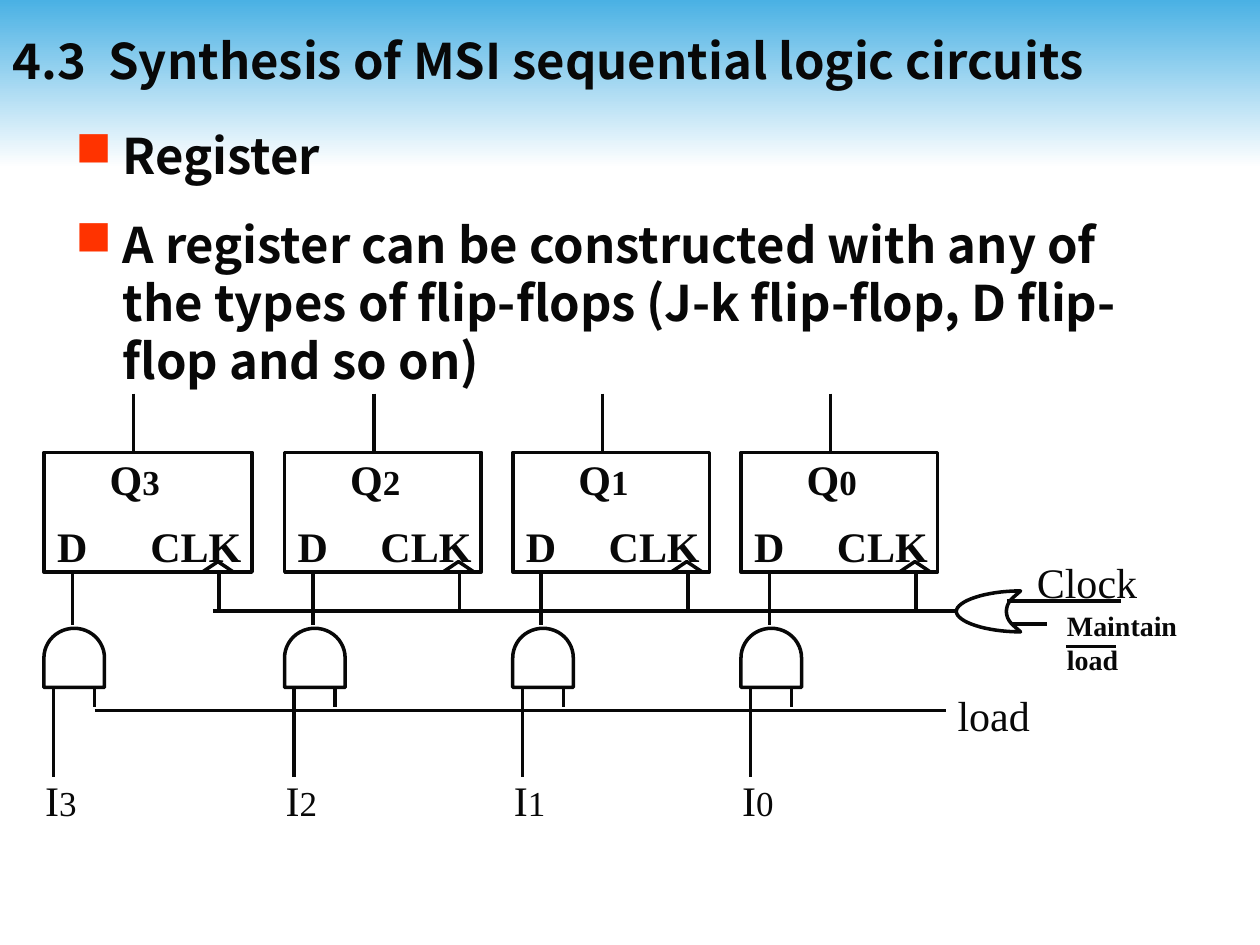
import pptx
import pptx.dml.color
import pptx.enum.shapes
import pptx.enum.text
import pptx.oxml
import pptx.oxml.ns
import pptx.util
from lxml import etree

Pt = pptx.util.Pt
SHAPE = pptx.enum.shapes.MSO_SHAPE
ANCHOR = pptx.enum.text.MSO_ANCHOR
qn = pptx.oxml.ns.qn

SANS, SERIF = "Noto Sans CJK JP", "Times New Roman"
INK, SKY, WHITE, RED = "080808", "4AB1E4", "FFFFFF", "FF3300"
CLOCK_Y, LOAD_Y = 349.2, 406.1


def rgb(value):
    return pptx.dml.color.RGBColor.from_string(value)


def style(r, size, name=SERIF, bold=False):
    r.font.size, r.font.name, r.font.bold = Pt(size), name, bold
    r.font.color.rgb = rgb(INK)


def set_frame(tf, insets=(7.2, 3.6), wrap=True, anchor=ANCHOR.TOP):
    tf.margin_left = tf.margin_right = Pt(insets[0])
    tf.margin_top = tf.margin_bottom = Pt(insets[1])
    tf.word_wrap = wrap
    tf.auto_size = pptx.enum.text.MSO_AUTO_SIZE.NONE
    tf.vertical_anchor = anchor


def set_tabs(p, stops):
    tabs = etree.SubElement(p._p.get_or_add_pPr(), qn("a:tabLst"))
    for stop in stops:
        etree.SubElement(tabs, qn("a:tab"), pos=str(Pt(stop)), algn="l")


def add_bullet(p, char, color, indent):
    pPr = p._p.get_or_add_pPr()
    pPr.set("marL", str(Pt(indent)))
    pPr.set("indent", str(-Pt(indent)))
    clr = etree.SubElement(pPr, qn("a:buClr"))
    etree.SubElement(clr, qn("a:srgbClr"), val=color)
    etree.SubElement(pPr, qn("a:buChar"), char=char)


def add_wire(s, x1, y1, x2, y2):
    wire = s.shapes.add_connector(pptx.enum.shapes.MSO_CONNECTOR.STRAIGHT,
                                  Pt(x1), Pt(y1), Pt(x2), Pt(y2))
    wire.line.color.rgb = rgb(INK)
    wire.line.width = Pt(2)
    etree.SubElement(wire._element.spPr, qn("a:effectLst"))


def outline(sp):
    sp.shadow.inherit = False
    sp.fill.background()
    sp.line.color.rgb = rgb(INK)
    sp.line.width = Pt(2)
    return sp


def add_outline(s, kind, x, y, w, h):
    return outline(s.shapes.add_shape(kind, Pt(x), Pt(y), Pt(w), Pt(h)))


def add_label(s, x, y, w, h, parts, inset=0, wrap=False, bold=False):
    """Place one line of text made of (text, size) parts."""
    tf = s.shapes.add_textbox(Pt(x), Pt(y), Pt(w), Pt(h)).text_frame
    set_frame(tf, (inset, 3.6), wrap)
    for text, size in parts:
        r = tf.paragraphs[0].add_run()
        r.text = text
        style(r, size, bold=bold)


def add_header(s, x, y, w, h, band_h, text):
    # Gradient band, behind everything else
    band = s.shapes.add_shape(SHAPE.RECTANGLE, Pt(x), Pt(y), Pt(w), Pt(band_h))
    band.shadow.inherit = False
    band.line.fill.background()
    band.fill.gradient()
    band.fill.gradient_angle = 270
    for stop, color, position in zip(band.fill.gradient_stops, (SKY, WHITE), (0, 1)):
        stop.color.rgb = rgb(color)
        stop.position = position
    s.shapes._spTree.insert(2, band._element)
    # Title
    title = s.shapes.title
    title.left, title.top, title.width, title.height = Pt(x), Pt(y), Pt(w), Pt(h)
    tf = title.text_frame
    tf.text = text
    set_frame(tf, anchor=ANCHOR.MIDDLE)
    p = tf.paragraphs[0]
    p.alignment = pptx.enum.text.PP_ALIGN.LEFT
    style(p.runs[0], 28, SANS, True)


def add_bullets(s, x, y, w, h, items):
    tf = s.shapes.add_textbox(Pt(x), Pt(y), Pt(w), Pt(h)).text_frame
    set_frame(tf)
    for i, item in enumerate(items):
        p = tf.add_paragraph() if i else tf.paragraphs[0]
        p.text = item
        add_bullet(p, "■", RED, 27)
        p.line_spacing = Pt(33.3)
        if i:
            p.space_before = Pt(17.5)
        style(p.runs[0], 28, SANS, True)


def add_stage(s, x, y, w, h, bit, clk_tab):
    """One flip-flop with its clock input, AND gate and data input."""
    bottom = y + h
    # Flip-flop box
    tf = add_outline(s, SHAPE.RECTANGLE, x, y, w, h).text_frame
    set_frame(tf, (1.44, 0.72), anchor=ANCHOR.BOTTOM)
    tf.text = "\tQ"
    p = tf.paragraphs[0]
    p.add_run().text = bit
    pins = tf.add_paragraph()
    pins.text = "\tD\tCLK"
    pins.space_before = Pt(9.5)
    for line, stops in ((p, [36]), (pins, [6, clk_tab])):
        line.alignment = pptx.enum.text.PP_ALIGN.LEFT
        set_tabs(line, stops)
        for r in line.runs:
            style(r, 20 if r.text == bit else 24, bold=True)
    # Clock edge marker and AND gate
    add_outline(s, SHAPE.FLOWCHART_EXTRACT, x + 90.7, bottom - 6, 17.3, 5.8)
    add_outline(s, SHAPE.FLOWCHART_DELAY, x + 0.3, 358.6, 33.8, 34.6).rotation = 270
    # Wires: output, clock, gate to D, data input, load
    for dx, top, end in ((51.1, 225, y), (100, bottom, CLOCK_Y), (16.2, bottom, 357),
                         (5.4, 392.4, 444), (28.8, 393, 404)):
        add_wire(s, x + dx, top, x + dx, end)
    add_label(s, x - 6.5, 439, 48, 36, [("I", 24), (bit, 20)], inset=7.2)


def bezier(p0, p1, p2, p3, steps=16):
    for i in range(1, steps + 1):
        t = i / steps
        u = 1 - t
        yield tuple(u**3 * a + 3 * u * u * t * b + 3 * u * t * t * c + t**3 * d
                    for a, b, c, d in zip(p0, p1, p2, p3))


def add_or_gate(s, x, y, w, h):
    """OR gate pointing left, with a hollow right side."""
    right, mid, bottom, notch = x + w, y + h / 2, y + h, x + 0.78 * w
    bend, q = x + 0.9 * w, h / 4
    curves = [
        ((right, y), (bend, y + q * 0.6), (notch, y + q), (notch, mid)),
        ((notch, mid), (notch, mid + q), (bend, bottom - q * 0.6), (right, bottom)),
        ((right, bottom), (x + 0.45 * w, bottom), (x, mid + q), (x, mid)),
        ((x, mid), (x, mid - q), (x + 0.45 * w, y), (right, y)),
    ]
    pen = s.shapes.build_freeform(Pt(right), Pt(y))
    pen.add_line_segments([(Pt(a), Pt(b)) for c in curves for a, b in bezier(*c)], close=True)
    outline(pen.convert_to_shape())


def add_control(s, x, y):
    """Clock and load lines with the OR gate, whose left tip is at x."""
    add_wire(s, 121.7, CLOCK_Y, x, CLOCK_Y)
    add_wire(s, 54, LOAD_Y, 540.7, LOAD_Y)
    add_or_gate(s, x, y, 36.7, 23.4)
    add_wire(s, x + 28.8, y + 5.8, x + 94.3, y + 5.8)
    add_wire(s, x + 31.7, y + 18.9, x + 51.8, y + 18.9)
    add_label(s, x + 46, y - 23.4, 70.6, 36, [("Clock", 24)])
    add_label(s, x + 0.7, y + 53, 70.6, 36, [("load", 24)])
    add_label(s, x + 63.2, y + 6.5, 70.6, 46, [("Maintain load", 16)], wrap=True, bold=True)
    # Overbar on the second "load"
    add_wire(s, x + 62.6, y + 31.7, x + 91.4, y + 31.7)


def main():
    prs = pptx.Presentation()
    prs.slide_width, prs.slide_height = Pt(720), Pt(540)
    s = prs.slides.add_slide(prs.slide_layouts[5])
    add_header(s, 0, 0, 720, 68.4, 95.8, "4.3  Synthesis of MSI sequential logic circuits")
    add_bullets(s, 36, 68.5, 648, 432, [
        "Register",
        "A register can be constructed with any of the types of flip-flops "
        "(J-k flip-flop, D flip-flop and so on)",
    ])
    add_stage(s, 25.2, 258.5, 118.8, 68.4, "3", 59.3)
    for i, bit in enumerate("210"):
        add_stage(s, 162.7 + 130.4 * i, 258.5, 112.3, 68.4, bit, 53.3)
    add_control(s, 546.5, 337.7)
    prs.save("out.pptx")


if __name__ == "__main__":
    main()
